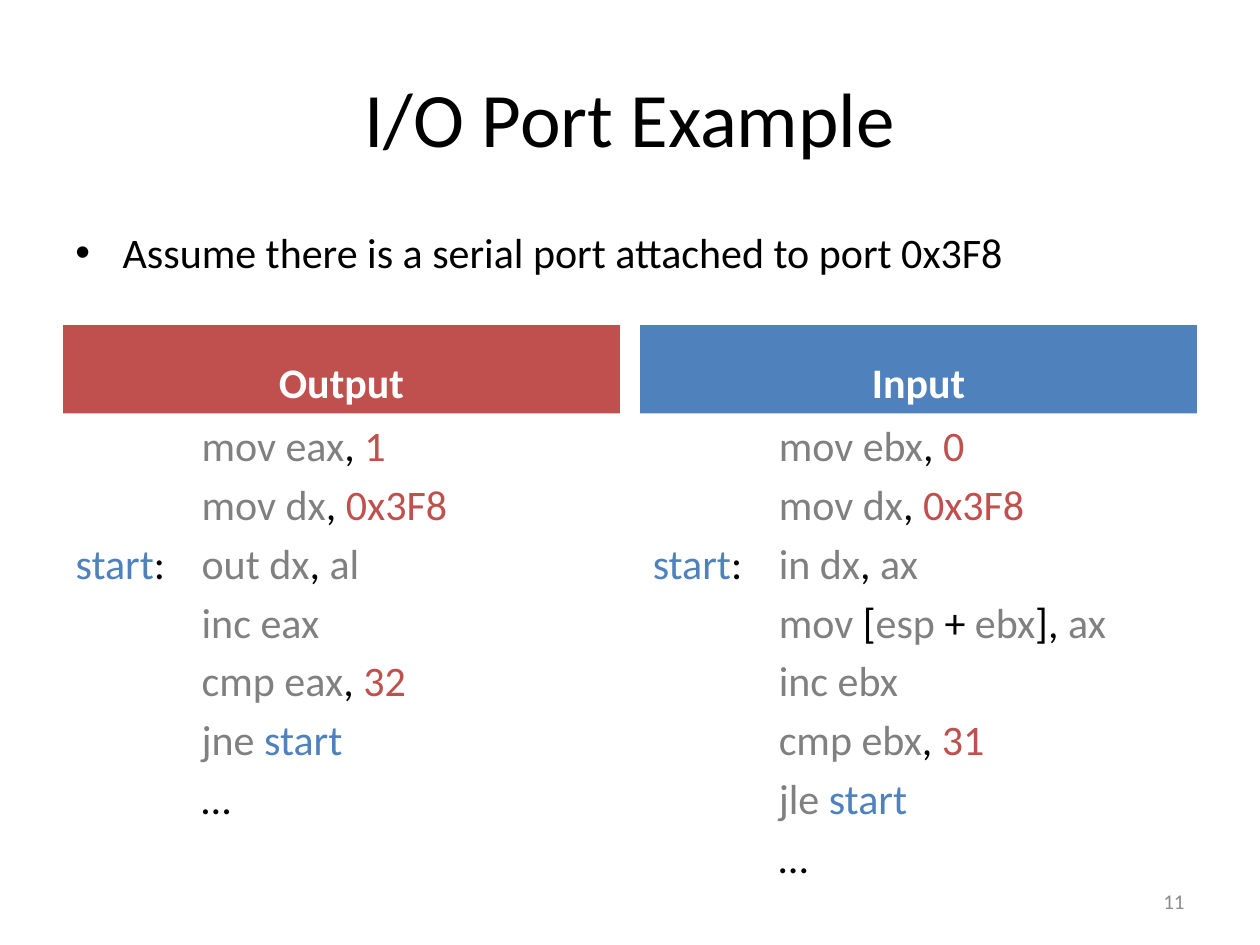
from itertools import groupby

from lxml import etree
from pptx import Presentation
from pptx import util as u
from pptx.dml import color
from pptx.enum import text
from pptx.oxml import ns

Pt = u.Pt
COLORS = {
    "ink": "000000", "word": "808080", "output": "C0504D", "input": "4F81BD",
    "number": "C0504D", "label": "4F81BD", "white": "FFFFFF", "page": "8C8C8C",
}
OUTPUT_CODE = [
    "\tmov eax, 1", "\tmov dx, 0x3F8", "start:\tout dx, al", "\tinc eax",
    "\tcmp eax, 32", "\tjne start", "\t…",
]
INPUT_CODE = [
    "\tmov ebx, 0", "\tmov dx, 0x3F8", "start:\tin dx, ax",
    "\tmov [esp + ebx], ax", "\tinc ebx", "\tcmp ebx, 31", "\tjle start", "\t…",
]


def rgb(name):
    """Return the named colour."""
    return color.RGBColor.from_string(COLORS[name])


def apply(target, formats):
    """Set each attribute of target from a dict of format values."""
    for name, value in formats.items():
        setattr(target, name, value)


def place(part, box):
    """Move a part to a (left, top, width, height) box in points."""
    apply(part, dict(zip(("left", "top", "width", "height"), map(Pt, box))))


def add_words(paragraph, words, size, ink, bold=False):
    """Append one formatted run to a paragraph."""
    run = paragraph.add_run()
    run.text = words
    apply(run.font, {"name": "Calibri", "size": Pt(size), "bold": bold})
    run.font.color.rgb = rgb(ink)


def set_indent(paragraph, margin, hanging, bullet=None):
    """Set margin, first-line indent, tab distance and bullet of a paragraph."""
    props = paragraph._p.get_or_add_pPr()
    lengths = {"marL": margin, "indent": -hanging, "defTabSz": 72}
    for name, length in lengths.items():
        props.set(name, str(Pt(length)))
    if bullet:
        etree.SubElement(props, ns.qn("a:buFont"), typeface="Arial")
        etree.SubElement(props, ns.qn("a:buChar"), char=bullet)
    else:
        etree.SubElement(props, ns.qn("a:buNone"))


def write_line(part, box, words, size, ink, align, anchor, bold=False):
    """Place a part and give it a single formatted line."""
    place(part, box)
    frame = part.text_frame
    apply(frame, {"word_wrap": True, "vertical_anchor": anchor,
                  "auto_size": text.MSO_AUTO_SIZE.NONE})
    line = frame.paragraphs[0]
    line.alignment = align
    add_words(line, words, size, ink, bold)
    return line


def token_color(token):
    """Choose the colour name for a token of assembly code."""
    if not token.isalnum():
        return "ink"
    if token == "start":
        return "label"
    return "number" if token[0].isdigit() else "word"


def write_code(part, box, lines):
    """Fill a body placeholder with coloured assembly code."""
    place(part, box)
    frame = part.text_frame
    apply(frame, {"word_wrap": True, "auto_size": text.MSO_AUTO_SIZE.NONE})
    for number, line in enumerate(lines):
        paragraph = frame.paragraphs[0] if number == 0 else frame.add_paragraph()
        set_indent(paragraph, 0, 0)
        for _, letters in groupby(line, str.isalnum):
            token = "".join(letters)
            add_words(paragraph, token, 24, token_color(token))


def build_column(heading, code, box, title, fill, lines):
    """Build a coloured heading with its code listing below."""
    left, top, width, height = box
    bar = 50.4
    write_line(heading, (left, top, width, bar), title, 24, "white",
               text.PP_ALIGN.CENTER, text.MSO_ANCHOR.BOTTOM, True)
    heading.fill.solid()
    heading.fill.fore_color.rgb = rgb(fill)
    write_code(code, (left, top + bar, width, height - bar), lines)


def build_slide(deck):
    """Build the comparison of port output and input."""
    slide = deck.slides.add_slide(deck.slide_layouts[4])
    title, out_head, out_code, in_head, in_code = slide.placeholders
    left, top, width, gap = 36, 185.8, 648, 11.6
    column = (width - gap) / 2
    align, anchor = text.PP_ALIGN, text.MSO_ANCHOR

    write_line(title, (left, 21.6, width, 90), "I/O Port Example", 44, "ink",
               align.CENTER, anchor.MIDDLE)
    build_column(out_head, out_code, (left, top, column, 301.7),
                 "Output", "output", OUTPUT_CODE)
    build_column(in_head, in_code, (left + column + gap, top, column, 343.4),
                 "Input", "input", INPUT_CODE)

    page = slide.shapes.add_textbox(0, 0, 0, 0)
    write_line(page, (516, 500.5, 168, 28.8), "11", 12, "page",
               align.RIGHT, anchor.MIDDLE)
    premise = slide.shapes.add_textbox(0, 0, 0, 0)
    line = write_line(premise, (left, 126, width, 54.7),
                      "Assume there is a serial port attached to port 0x3F8",
                      24, "ink", align.LEFT, anchor.TOP)
    line.space_before = Pt(4.8)
    set_indent(line, 27, 27, bullet="•")


def main():
    """Create and save the deck."""
    deck = Presentation()
    apply(deck, {"slide_width": Pt(720), "slide_height": Pt(540)})
    build_slide(deck)
    deck.save("out.pptx")


if __name__ == "__main__":
    main()
